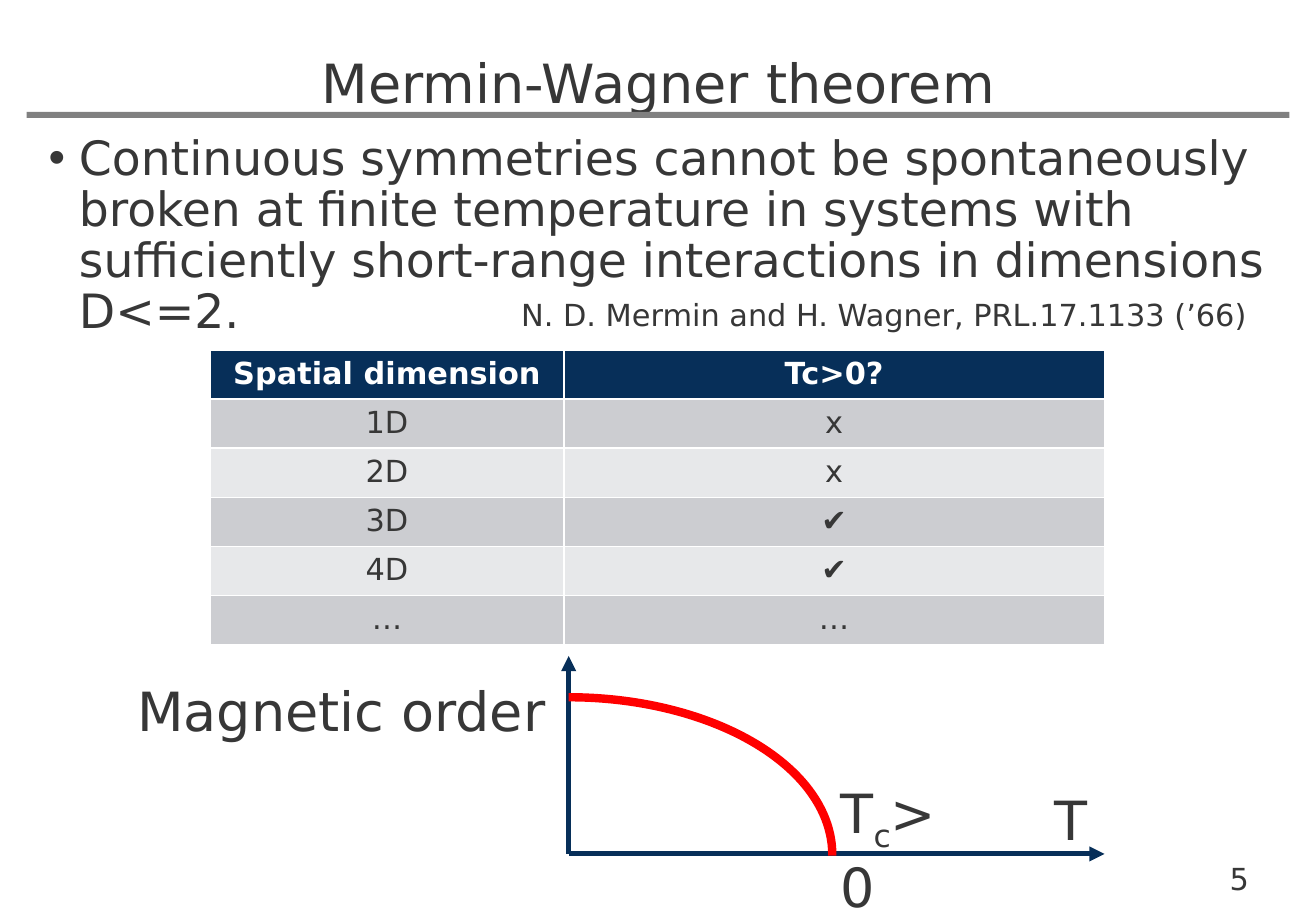
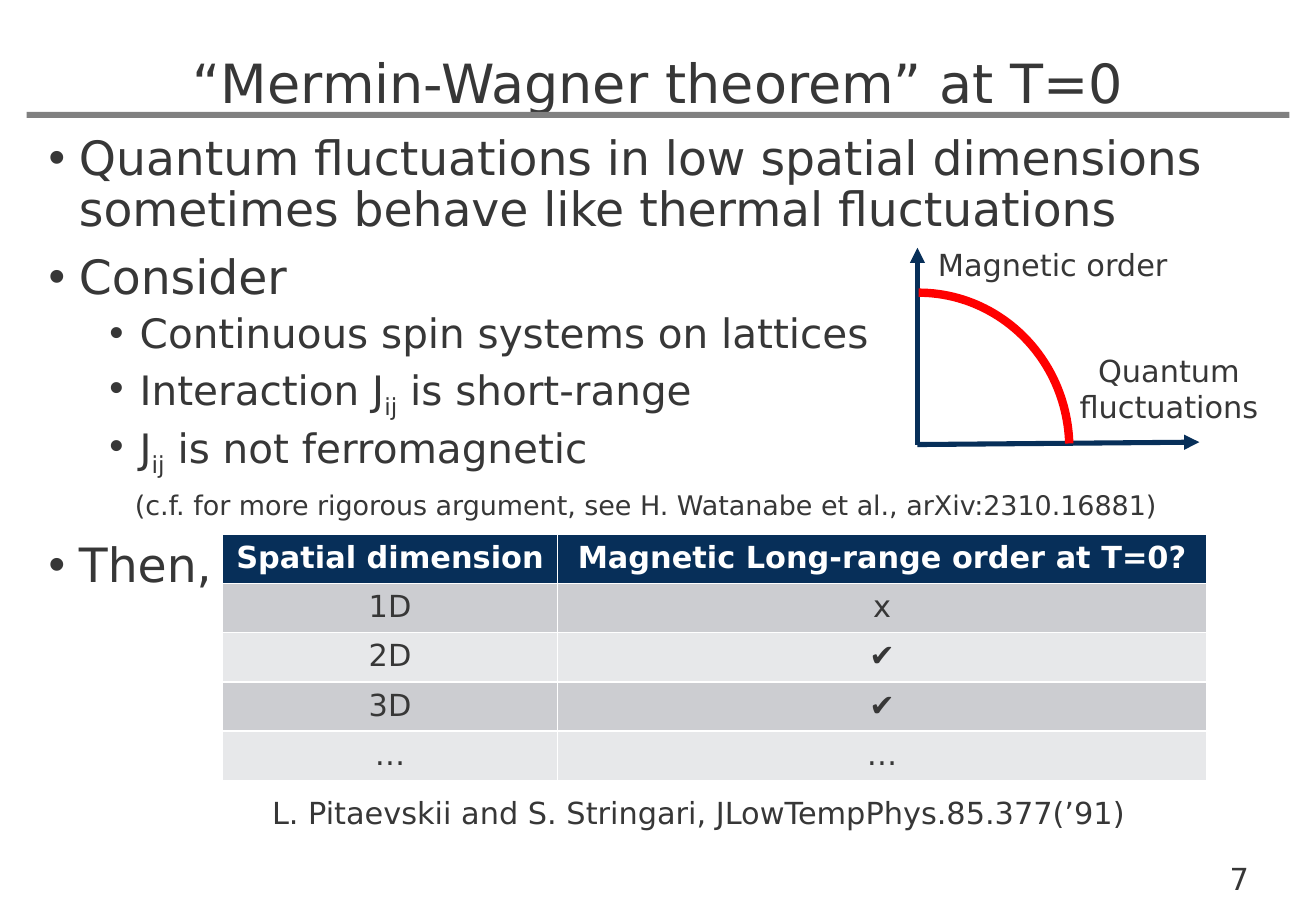
"""Build two slides on the Mermin-Wagner theorem at finite and zero temperature."""
from lxml.etree import SubElement
from pptx import Presentation
from pptx.dml.color import RGBColor
from pptx.enum.shapes import MSO_CONNECTOR, MSO_SHAPE
from pptx.enum.text import MSO_ANCHOR, MSO_AUTO_SIZE, PP_ALIGN
from pptx.oxml.ns import qn
from pptx.util import Inches, Pt

FONT = "DejaVu Sans"
COLORS = {
    "text": "373737", "rule": "808080", "navy": "072F59", "white": "FFFFFF",
    "band_dark": "CCCDD1", "band_light": "E7E8EA", "curve": "FF0000",
}
SUBSCRIPT_MARK = "~"
ROW_HEIGHT = 0.405
LEFT, CENTER = PP_ALIGN.LEFT, PP_ALIGN.CENTER

LEVELS = {
    "main": dict(level=0, size=28, margin=0.25, hang=-0.25, before=10, after=0, bullet=True),
    "sub": dict(level=1, size=24, margin=0.75, hang=-0.25, before=5, after=0, bullet=True),
    "note": dict(level=1, size=16, margin=0.71, hang=0, before=11.5, after=2, bullet=False),
}

SLIDES = [
    {
        "number": "5",
        "title": "Mermin-Wagner theorem",
        "body": [
            ("main", "Continuous symmetries cannot be spontaneously broken at finite "
                     "temperature in systems with sufficiently short-range interactions "
                     "in dimensions D<=2."),
        ],
        "table": {
            "at": (1.73, 2.88), "columns": (2.91, 4.45),
            "rows": [("Spatial dimension", "Tc>0?"), ("1D", "x"), ("2D", "x"),
                     ("3D", "✔"), ("4D", "✔"), ("…", "…")],
        },
        "plot": {
            "origin": (4.68, 7.03), "tips": [(4.68, 5.4), (9.09, 7.03)],
            "arc": (2.51, 5.74, 4.34, 2.59), "arc_end": 0.15,
        },
        "labels": [
            ((8.58, 6.43, 0.54, 0.64), ["T"], 32, LEFT, True),
            ((6.82, 6.37, 1.25, 0.64), ["T~c~>0"], 32, LEFT, True),
            ((1.03, 5.53, 3.6, 0.64), ["Magnetic order"], 32, LEFT, True),
            ((4.19, 2.39, 6.54, 0.4), ["N. D. Mermin and H. Wagner, PRL.17.1133 (’66)"],
             18, LEFT, False),
        ],
    },
    {
        "number": "7",
        "title": "“Mermin-Wagner theorem” at T=0",
        "body": [
            ("main", "Quantum fluctuations in low spatial dimensions sometimes behave "
                     "like thermal fluctuations"),
            ("main", "Consider"),
            ("sub", "Continuous spin systems on lattices"),
            ("sub", "Interaction J~ij~ is short-range"),
            ("sub", "J~ij~ is not ferromagnetic"),
            ("note", "(c.f. for more rigorous argument, see H. Watanabe et al., "
                     "arXiv:2310.16881)"),
            ("main", "Then,"),
        ],
        "table": {
            "at": (1.83, 4.4), "columns": (2.76, 5.34),
            "rows": [("Spatial dimension", "Magnetic Long-range order at T=0?"),
                     ("1D", "x"), ("2D", "✔"), ("3D", "✔"), ("…", "…")],
        },
        "plot": {
            "origin": (7.55, 3.66), "tips": [(7.55, 2.04), (9.87, 3.64)],
            "arc": (6.32, 2.41, 2.48, 2.56), "arc_end": 214.93,
        },
        "labels": [
            ((2.14, 6.49, 7.48, 0.4),
             ["L. Pitaevskii and S. Stringari, JLowTempPhys.85.377(’91)"], 18, LEFT, False),
            ((7.62, 1.98, 2.32, 0.4), ["Magnetic order"], 18, LEFT, True),
            ((8.46, 2.85, 2.32, 0.71), ["Quantum", "fluctuations"], 18, CENTER, True),
        ],
    },
]


def color(name):
    return RGBColor.from_string(COLORS[name])


def inches(values):
    return [Inches(value) for value in values]


def write(para, text, size, align=LEFT, ink="text", bold=False):
    para.alignment = align
    font = para.font
    font.name, font.size, font.bold = FONT, Pt(size), bold
    font.color.rgb = color(ink)
    for index, part in enumerate(text.split(SUBSCRIPT_MARK)):
        if part:
            span = para.add_run()
            span.text = part
            if index % 2:
                span.font._element.set("baseline", "-25000")


def paragraphs(frame, count):
    return [frame.paragraphs[0]] + [frame.add_paragraph() for _ in range(count - 1)]


def place(shape, at):
    shape.left, shape.top, shape.width, shape.height = inches(at)
    frame = shape.text_frame
    frame.word_wrap = True
    frame.auto_size = MSO_AUTO_SIZE.NONE
    frame.vertical_anchor = MSO_ANCHOR.TOP
    return frame


def add_frame(page, title, number):
    rule = page.shapes.add_shape(MSO_SHAPE.RECTANGLE, *inches((0.22, 0.92, 10.39, 0.05)))
    rule.shadow.inherit = False
    rule.fill.solid()
    rule.fill.fore_color.rgb = color("rule")
    rule.line.fill.background()
    add_label(page, (9.75, 7.03, 0.9, 0.35), [number], 18, CENTER, True)
    frame = place(page.shapes.title, (0.3, 0.32, 10.24, 0.54))
    frame.margin_top, frame.margin_bottom = Inches(0.09), 0
    write(frame.paragraphs[0], title, 32, CENTER)


def add_body(page, items):
    frame = place(page.placeholders[1], (0.3, 1.06, 10.26, 6.31))
    for index, (para, (kind, text)) in enumerate(zip(paragraphs(frame, len(items)), items)):
        style = LEVELS[kind]
        para.level = style["level"]
        para.line_spacing = 0.9
        para.space_before = Pt(style["before"] if index else 0)
        para.space_after = Pt(style["after"])
        properties = para._p.get_or_add_pPr()
        properties.set("marL", str(Inches(style["margin"])))
        properties.set("indent", str(Inches(style["hang"])))
        if style["bullet"]:
            SubElement(properties, qn("a:buChar")).set("char", "•")
        else:
            SubElement(properties, qn("a:buNone"))
        write(para, text, style["size"])


def add_table(page, at, columns, rows):
    size = (sum(columns), ROW_HEIGHT * len(rows))
    table = page.shapes.add_table(len(rows), len(columns), *inches(at + size)).table
    for column, width in zip(table.columns, columns):
        column.width = Inches(width)
    for row_index, row in enumerate(rows):
        header = row_index == 0
        band = "navy" if header else ("band_light", "band_dark")[row_index % 2]
        for column_index, text in enumerate(row):
            cell = table.cell(row_index, column_index)
            cell.fill.solid()
            cell.fill.fore_color.rgb = color(band)
            write(cell.text_frame.paragraphs[0], text, 18, CENTER,
                  "white" if header else "text", header)


def add_plot(page, origin, tips, arc, arc_end):
    for tip in tips:
        axis = page.shapes.add_connector(MSO_CONNECTOR.STRAIGHT, *inches(origin + tip))
        axis.line.color.rgb = color("navy")
        axis.line.width = Pt(3)
        SubElement(axis.line._get_or_add_ln(), qn("a:tailEnd")).set("type", "triangle")
        SubElement(axis._element.spPr, qn("a:effectLst"))
    curve = page.shapes.add_shape(MSO_SHAPE.ARC, *inches(arc))
    curve.adjustments[0], curve.adjustments[1] = 162, arc_end
    curve.shadow.inherit = False
    curve.fill.background()
    curve.line.color.rgb = color("curve")
    curve.line.width = Pt(5)


def add_label(page, at, lines, size, align, wrap):
    frame = place(page.shapes.add_textbox(*inches(at)), at)
    frame.word_wrap = wrap
    for para, text in zip(paragraphs(frame, len(lines)), lines):
        write(para, text, size, align)


def main():
    deck = Presentation()
    deck.slide_width, deck.slide_height = inches((10.83, 7.5))
    for content in SLIDES:
        page = deck.slides.add_slide(deck.slide_layouts[1])
        add_frame(page, content["title"], content["number"])
        add_body(page, content["body"])
        add_table(page, **content["table"])
        add_plot(page, **content["plot"])
        for label in content["labels"]:
            add_label(page, *label)
    deck.save("out.pptx")


if __name__ == "__main__":
    main()
